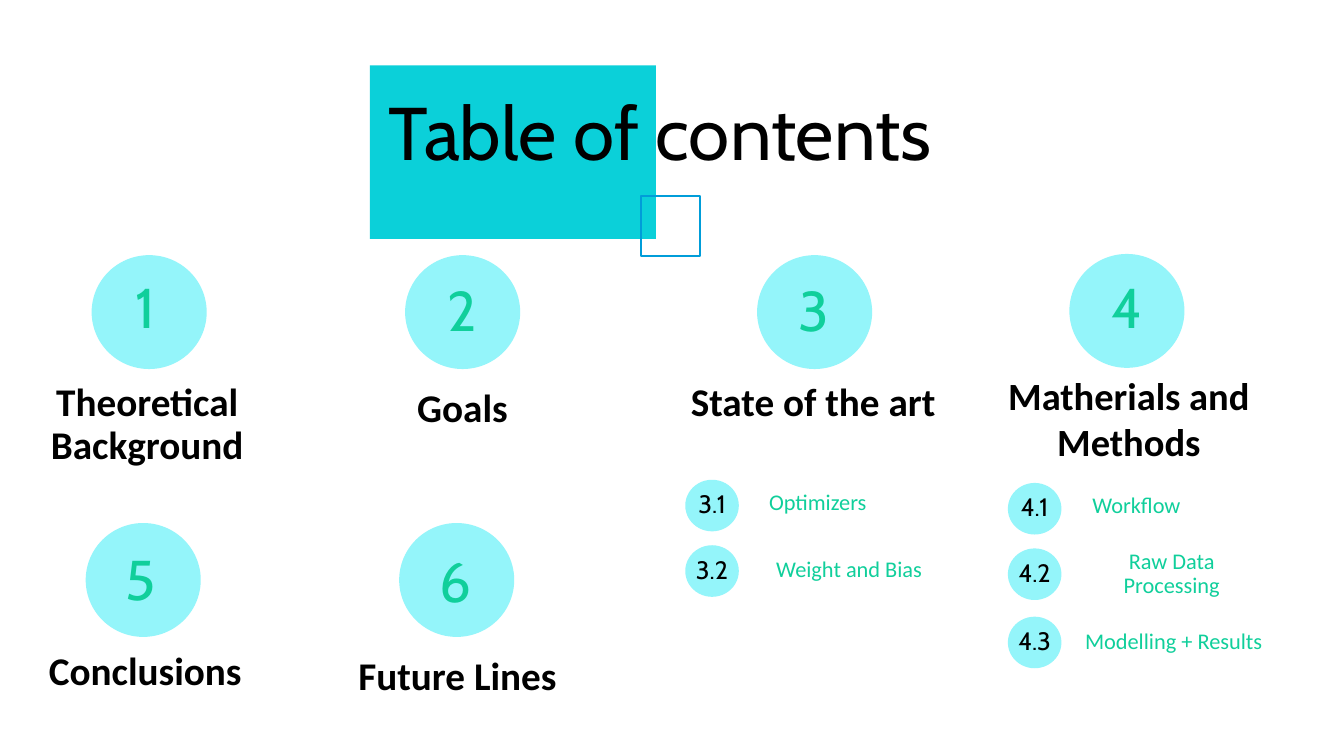
from pptx import Presentation
from pptx.dml.color import RGBColor
from pptx.enum.shapes import MSO_SHAPE
from pptx.enum.text import MSO_ANCHOR, MSO_AUTO_SIZE, PP_ALIGN
from pptx.util import Cm, Pt

RECTANGLE, OVAL = MSO_SHAPE.RECTANGLE, MSO_SHAPE.OVAL
TOP, NO_FIT = MSO_ANCHOR.TOP, MSO_AUTO_SIZE.NONE
LEFT, CENTER = PP_ALIGN.LEFT, PP_ALIGN.CENTER

BLACK, GREEN, AQUA = "000000", "10CF9B", "94F5FA"
TEAL, BLUE = "0BD0D9", "009DD9"

TITLE = dict(name="Cabin", size=Pt(53.3), bold=False)
NUMBER = dict(name="Cabin", size=Pt(40), bold=False)
HEADING = dict(name="Calibri", size=Pt(28), bold=True)
TOPIC = dict(name="Calibri", size=Pt(16), bold=False)
BADGE = dict(name="Cabin", size=Pt(18), bold=False)

# number, circle place, number place, heading, heading place, heading width, line spacing
SECTIONS = [
    ("1", (2.31, 6.43), (2.34, 6.73), "Theoretical Background", (0.18, 9.32), 7.06, 0.9),
    ("2", (10.21, 6.43), (10.31, 6.81), "Goals", (7.87, 9.32), 7.57, 1.0),
    ("3", (19.08, 6.43), (19.18, 6.81), "State of the art", (16.97, 9.32), 7.04, 0.9),
    ("4", (26.95, 6.4), (27.08, 6.73), "Matherials and Methods", (24.92, 9.04), 7.06, 1.0),
    ("5", (2.16, 13.18), (2.21, 13.59), "Conclusions", (0.13, 16.08), 7.06, 0.9),
    ("6", (10.06, 13.18), (10.13, 13.64), "Future Lines", (8.0, 16.08), 7.06, 1.0),
]
# number, badge place, topic, topic place, topic width
TOPICS = [
    ("3.1", (17.27, 12.09), "Optimizers", (16.76, 12.04), 7.7),
    ("3.2", (17.27, 13.74), "Weight and Bias", (17.55, 13.74), 7.7),
    ("4.1", (25.4, 12.17), "Workflow", (24.79, 12.12), 7.7),
    ("4.2", (25.4, 13.82), "Raw Data Processing", (27.08, 13.54), 4.9),
    ("4.3", (25.4, 15.54), "Modelling + Results", (25.73, 15.54), 7.7),
]


def colour(value):
    return RGBColor.from_string(value)


def add_figure(page, kind, place, size, fill=None, line=None):
    figure = page.shapes.add_shape(kind, *map(Cm, place + size))
    figure.shadow.inherit = False
    if fill:
        figure.fill.solid()
        figure.fill.fore_color.rgb = colour(fill)
    else:
        figure.fill.background()
    if line:
        figure.line.color.rgb = colour(line)
        figure.line.width = Pt(1.5)
    else:
        figure.line.fill.background()


def write(box, text, font, ink, spacing=0.9, align=CENTER, margins=(0.33, 0.33), wrap=True):
    frame = box.text_frame
    side, edge = map(Cm, margins)
    layout = dict(word_wrap=wrap, auto_size=NO_FIT, vertical_anchor=TOP,
                  margin_left=side, margin_right=side,
                  margin_top=edge, margin_bottom=edge)
    for key, value in layout.items():
        setattr(frame, key, value)
    para = frame.paragraphs[0]
    para.alignment = align
    para.line_spacing = spacing
    para.space_before = Pt(0)
    span = para.add_run()
    span.text = text
    for key, value in font.items():
        setattr(span.font, key, value)
    span.font.color.rgb = colour(ink)


def add_text(page, text, place, size, font, ink, **options):
    box = page.shapes.add_textbox(*map(Cm, place + size))
    write(box, text, font, ink, **options)


def add_title(page, text):
    title = page.shapes.title
    place = dict(left=9.47, top=2.08, width=16.71, height=4.27)
    for key, value in place.items():
        setattr(title, key, Cm(value))
    write(title, text, TITLE, BLACK, align=LEFT)
    title.element.getparent().append(title.element)


def add_section(page, number, circle, number_place, heading, heading_place, width, spacing):
    add_figure(page, OVAL, circle, (2.9, 2.87), AQUA)
    add_text(page, number, number_place, (2.67, 1.35), NUMBER, GREEN)
    font = HEADING | {"size": Pt(27.5)} if number == "4" else HEADING
    add_text(page, heading, heading_place, (width, 2.57), font, BLACK, spacing=spacing)


def add_topic(page, number, badge, topic, topic_place, width):
    left, top = badge
    add_figure(page, OVAL, badge, (1.35, 1.3), AQUA)
    add_text(page, number, (left - 0.05, top + 0.09), (1.45, 1.02), BADGE, BLACK,
             spacing=1.0, margins=(0.25, 0.13), wrap=False)
    add_text(page, topic, topic_place, (width, 2.57), TOPIC, GREEN)


def main():
    deck = Presentation()
    deck.slide_width, deck.slide_height = Cm(33.87), Cm(19.05)
    page = deck.slides.add_slide(deck.slide_layouts[5])
    add_figure(page, RECTANGLE, (9.32, 1.65), (7.21, 4.37), TEAL)
    add_figure(page, RECTANGLE, (16.15, 4.95), (1.5, 1.5), line=BLUE)
    for section in SECTIONS:
        add_section(page, *section)
    for topic in TOPICS:
        add_topic(page, *topic)
    add_title(page, "Table of contents")
    deck.save("out.pptx")


if __name__ == "__main__":
    main()
